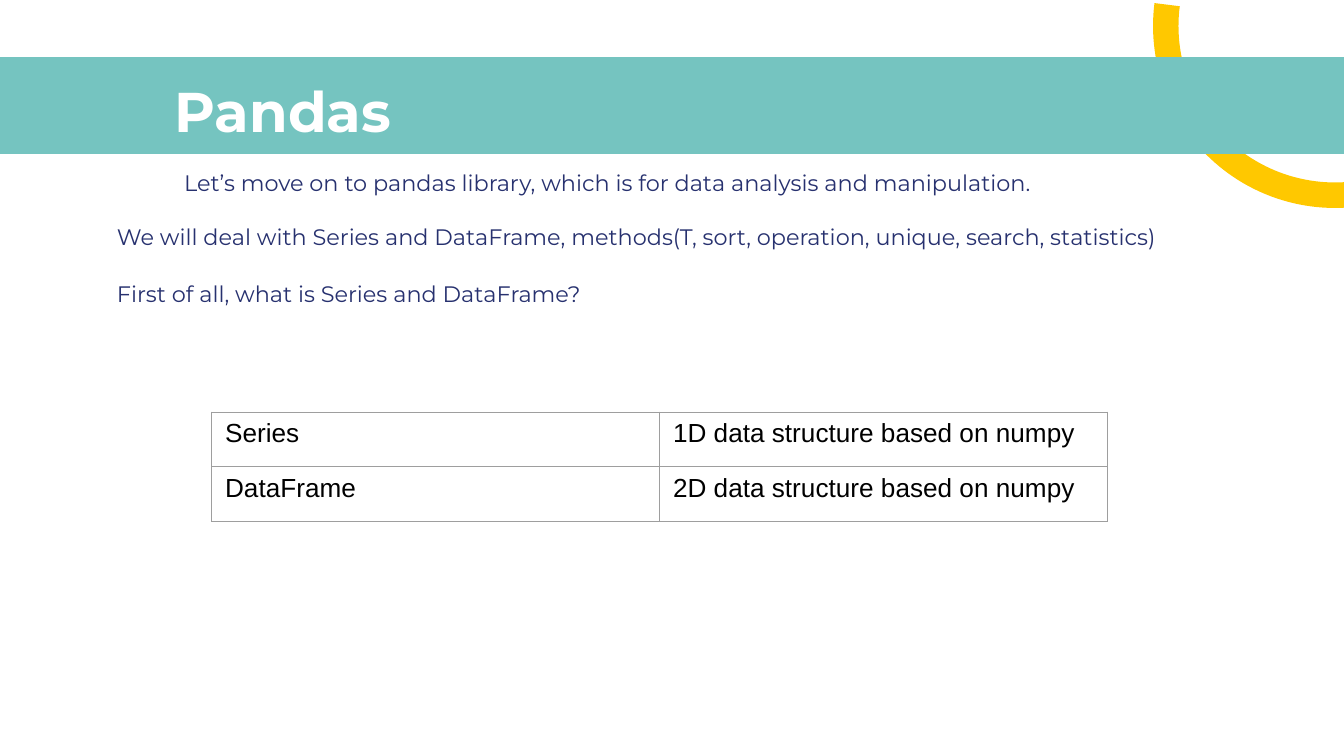
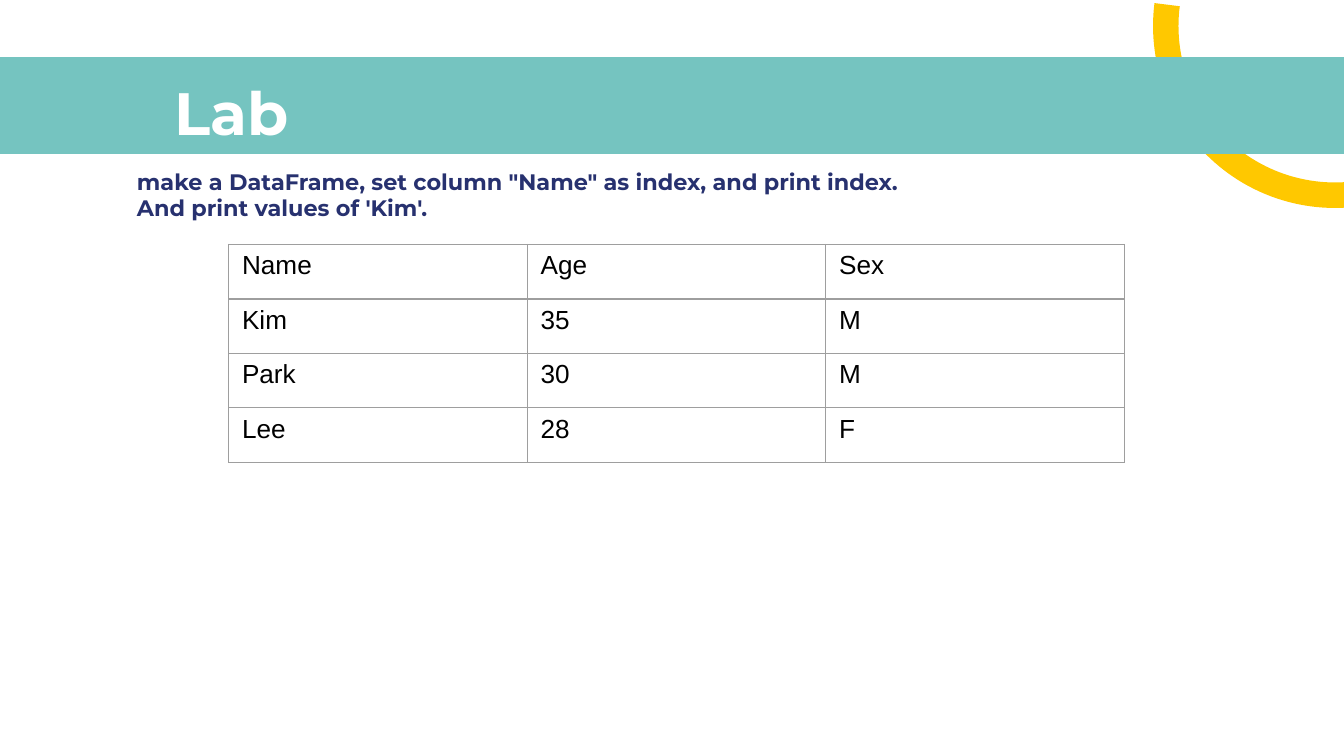
from lxml import etree
from pptx import Presentation
from pptx.dml.color import RGBColor
from pptx.enum.shapes import MSO_SHAPE as Shape
from pptx.enum.text import MSO_ANCHOR as Anchor, MSO_AUTO_SIZE as Fit, PP_ALIGN as Align
from pptx.oxml.ns import qn
from pptx.util import Cm, Pt

TEAL = RGBColor(0x75, 0xC4, 0xC0)
GOLD = RGBColor(0xFF, 0xC8, 0x00)
PALE = RGBColor(0xEE, 0xEE, 0xEE)
NAVY = RGBColor(0x27, 0x31, 0x6F)
GREY = RGBColor(0x9E, 0x9E, 0x9E)
WHITE = RGBColor(0xFF, 0xFF, 0xFF)
BLACK = RGBColor(0x00, 0x00, 0x00)
HEAD = "Montserrat"
CELL = "Arial"
WIDE = 16.93  # table width in cm

# kind, left, top, width, height, turn, colour, arc (start and end degrees, thickness)
DECOR = [
    (Shape.BLOCK_ARC, 21.79, -2.95, 6.88, 6.88, 180, GOLD, (159.04, 7.23, 0.07)),
    (Shape.RECTANGLE, -0.43, 1.08, 26.26, 1.83, 0, TEAL, None),
    (Shape.BLOCK_ARC, -4.14, 11.46, 6.63, 6.63, 74.3, PALE, (125.82, 166.85, 0.1)),
]

# title, title size, body top, bold, lines (text, indent, space after), table place, rows
PAGES = [
    ("Pandas", 30, 2.95, False,
     [("Let’s move on to pandas library, which is for data analysis and manipulation.", 1.27, 14.6),
      ("We will deal with Series and DataFrame, methods(T, sort, operation, unique, search, statistics)",
       0, 16),
      ("First of all, what is Series and DataFrame?", 0, 16)],
     (4, 7.79),
     [("Series", "1D data structure based on numpy"),
      ("DataFrame", "2D data structure based on numpy")]),
    ("Lab", 32, 2.92, True,
     [('make a DataFrame, set column "Name" as index, and print index.', 0.38, 0),
      ("And print values of 'Kim'.", 0.38, 0)],
     (4.32, 4.62),
     [("Name", "Age", "Sex"), ("Kim", "35", "M"), ("Park", "30", "M"), ("Lee", "28", "F")]),
]


def style(font, name, size, color, bold=False):
    font.name, font.size, font.bold = name, Pt(size), bold
    font.color.rgb = color


def border(cell):
    props = cell._tc.get_or_add_tcPr()
    for side in ("lnL", "lnR", "lnT", "lnB"):
        line = etree.SubElement(props, qn(f"a:{side}"), w=str(Pt(0.75)))
        fill = etree.SubElement(line, qn("a:solidFill"))
        etree.SubElement(fill, qn("a:srgbClr"), val=str(GREY))


deck = Presentation()
deck.slide_width, deck.slide_height = Cm(25.4), Cm(14.29)
layout = deck.slide_layouts[5]

for num, (head, size, top, bold, lines, place, rows) in enumerate(PAGES):
    slide = deck.slides.add_slide(layout)

    # The band and rings are drawn once, then moved to the shared layout
    if num == 0:
        for pos, (kind, x, y, w, h, turn, color, arc) in enumerate(DECOR):
            part = slide.shapes.add_shape(kind, Cm(x), Cm(y), Cm(w), Cm(h))
            part.rotation = turn
            part.shadow.inherit = False
            part.fill.solid()
            part.fill.fore_color.rgb = color
            part.line.fill.background()
            if arc:
                start, end, thick = arc
                part.adjustments[0] = start * 0.6
                part.adjustments[1] = end * 0.6
                part.adjustments[2] = thick
            layout.shapes.element.insert(2 + pos, part.element)

    title = slide.shapes.title
    title.left, title.top, title.width, title.height = Cm(3.05), Cm(1.19), Cm(21.49), Cm(1.6)
    body = slide.shapes.add_textbox(Cm(1.96), Cm(top), Cm(21.49), Cm(1.4))
    for box in (title, body):
        frame = box.text_frame
        frame.word_wrap = True
        frame.auto_size = Fit.NONE
        frame.vertical_anchor = Anchor.TOP
        frame.margin_left = frame.margin_right = Cm(0.25)
        frame.margin_top = frame.margin_bottom = Cm(0.25)

    title.text_frame.text = head
    para = title.text_frame.paragraphs[0]
    para.alignment = Align.LEFT
    style(para.runs[0].font, HEAD, size, WHITE, True)

    body.text_frame.text = "\n".join(text for text, _, _ in lines)
    for para, (_, indent, after) in zip(body.text_frame.paragraphs, lines):
        para._p.get_or_add_pPr().set("marL", str(Cm(indent)))
        para.space_after = Pt(after)
        style(para.runs[0].font, HEAD, 12, NAVY, bold)

    cols = len(rows[0])
    x, y = place
    table = slide.shapes.add_table(len(rows), cols, Cm(x), Cm(y),
                                   Cm(WIDE), Cm(1.03 * len(rows))).table
    table.first_row = table.horz_banding = False
    for col in table.columns:
        col.width = Cm(WIDE / cols)
    for row, texts in zip(table.rows, rows):
        row.height = Cm(1.03)
        for cell, text in zip(row.cells, texts):
            border(cell)
            cell.fill.background()
            cell.text_frame.text = text
            style(cell.text_frame.paragraphs[0].runs[0].font, CELL, 14, BLACK)

deck.save("out.pptx")
